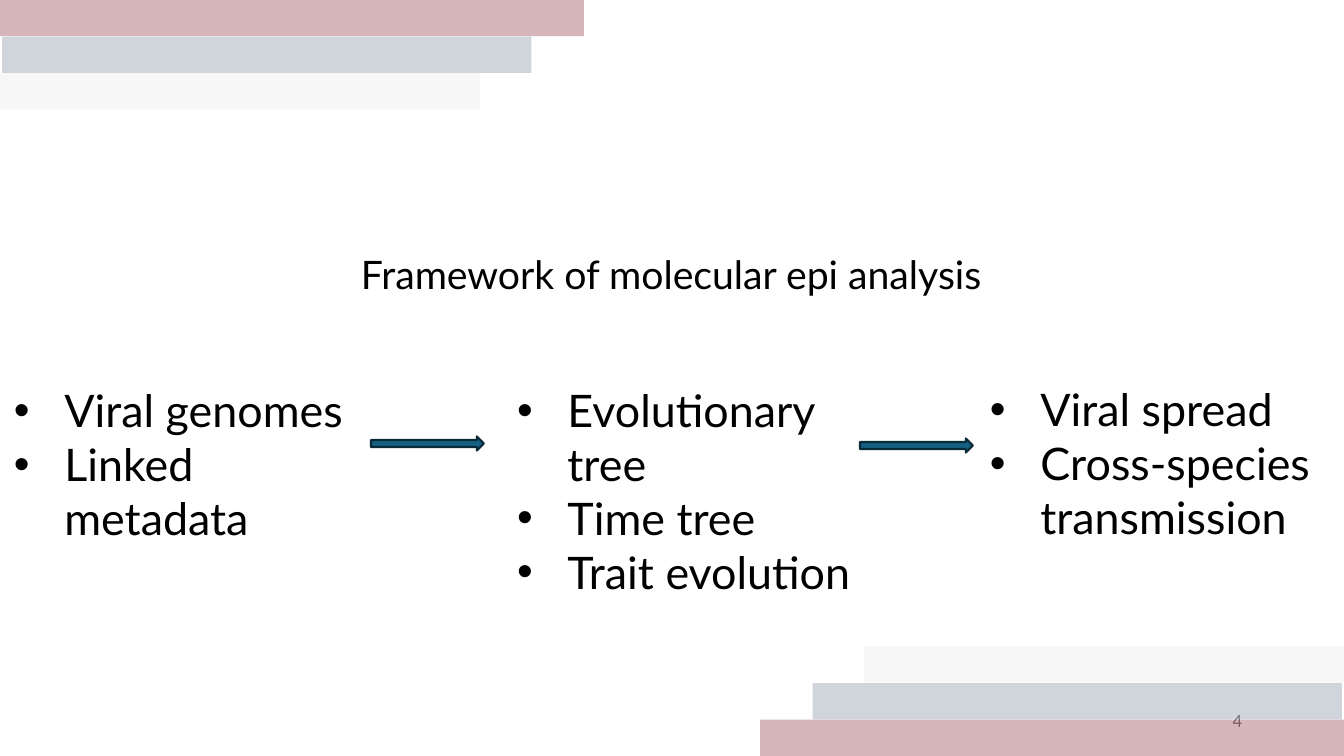
from dataclasses import dataclass

from lxml.etree import SubElement
from pptx import Presentation
from pptx.dml.color import RGBColor
from pptx.enum.shapes import MSO_SHAPE
from pptx.enum.text import MSO_ANCHOR, MSO_AUTO_SIZE, PP_ALIGN
from pptx.oxml.ns import qn
from pptx.util import Inches, Pt

SLIDE_WIDTH, SLIDE_HEIGHT = 13.33, 7.5


@dataclass(frozen=True)
class Theme:
    font: str = "Lato"
    text: str = "000000"
    page_number: str = "797979"
    arrow_fill: str = "156082"
    arrow_line: str = "092A39"
    stripes: tuple = ("7F1525", "697A8F", "E8E8E8")
    stripe_opacity: int = 31
    title_size: int = 28
    list_size: int = 32
    number_size: int = 12


class SlideBuilder:
    def __init__(self, slide, theme):
        self.slide = slide
        self.theme = theme

    def style(self, paragraph, size, color):
        paragraph.font.name = self.theme.font
        paragraph.font.size = Pt(size)
        paragraph.font.color.rgb = RGBColor.from_string(color)

    def title(self, text, left, top, width, height):
        title = self.slide.shapes.title
        title.left, title.top = Inches(left), Inches(top)
        title.width, title.height = Inches(width), Inches(height)
        frame = title.text_frame
        frame.text = text
        frame.auto_size = MSO_AUTO_SIZE.NONE
        frame.vertical_anchor = MSO_ANCHOR.BOTTOM
        heading = frame.paragraphs[0]
        heading.alignment = PP_ALIGN.LEFT
        heading.line_spacing = 0.9
        self.style(heading, self.theme.title_size, self.theme.text)

    def text_box(self, left, top, width, height):
        box = self.slide.shapes.add_textbox(
            Inches(left), Inches(top), Inches(width), Inches(height))
        box.text_frame.word_wrap = True
        return box.text_frame

    def page_number(self, number, left, top, width, height):
        frame = self.text_box(left, top, width, height)
        frame.text = str(number)
        frame.vertical_anchor = MSO_ANCHOR.MIDDLE
        frame.paragraphs[0].alignment = PP_ALIGN.RIGHT
        self.style(frame.paragraphs[0], self.theme.number_size, self.theme.page_number)

    def bullet_list(self, items, left, top, width, height):
        frame = self.text_box(left, top, width, height)
        frame.auto_size = MSO_AUTO_SIZE.SHAPE_TO_FIT_TEXT
        frame.text = "\n".join(items)
        for paragraph in frame.paragraphs:
            properties = paragraph._p.get_or_add_pPr()
            properties.set("marL", str(Inches(0.5)))
            properties.set("indent", str(Inches(-0.5)))
            SubElement(properties, qn("a:buFont")).set("typeface", "Arial")
            SubElement(properties, qn("a:buChar")).set("char", "•")
            self.style(paragraph, self.theme.list_size, self.theme.text)

    def filled_shape(self, shapes, kind, color, left, top, width, height):
        shape = shapes.add_shape(
            kind, Inches(left), Inches(top), Inches(width), Inches(height))
        shape.shadow.inherit = False
        shape.fill.solid()
        shape.fill.fore_color.rgb = RGBColor.from_string(color)
        return shape

    def arrow(self, left, top):
        arrow = self.filled_shape(self.slide.shapes, MSO_SHAPE.RIGHT_ARROW,
                                  self.theme.arrow_fill, left, top, 1.12, 0.14)
        arrow.line.color.rgb = RGBColor.from_string(self.theme.arrow_line)
        arrow.line.width = Pt(1.5)

    def corner_stripes(self, at_bottom_right):
        """Stack translucent stripes; the lower corner is the upper one turned by 180°."""
        group = self.slide.shapes.add_group_shape()
        height, pitch = 0.36, 1.09 / 3
        extents = ((0, 5.79), (0.02, 5.25), (0, 4.76))
        for row, (color, (left, width)) in enumerate(zip(self.theme.stripes, extents)):
            top = row * pitch
            if at_bottom_right:
                left = SLIDE_WIDTH - left - width
                top = SLIDE_HEIGHT - top - height
            stripe = self.filled_shape(group.shapes, MSO_SHAPE.RECTANGLE,
                                       color, left, top, width, height)
            stripe.line.fill.background()
            color_element = stripe.fill._xPr.find(qn("a:solidFill"))[0]
            SubElement(color_element, qn("a:alpha")).set(
                "val", str(self.theme.stripe_opacity * 1000))


def main():
    presentation = Presentation()
    presentation.slide_width = Inches(SLIDE_WIDTH)
    presentation.slide_height = Inches(SLIDE_HEIGHT)
    slide = presentation.slides.add_slide(presentation.slide_layouts[5])
    builder = SlideBuilder(slide, Theme())

    builder.title("Framework of molecular epi analysis", 3.48, 1.26, 6.37, 1.75)
    builder.page_number(4, 9.42, 6.95, 3, 0.4)

    builder.bullet_list(["Viral genomes", "Linked metadata"], 0.04, 3.75, 3.74, 1.72)
    builder.bullet_list(["Evolutionary tree", "Time tree", "Trait evolution"],
                        5.03, 3.75, 3.97, 2.25)
    builder.bullet_list(["Viral spread", "Cross-species transmission"],
                        9.72, 3.74, 3.61, 1.72)
    builder.arrow(3.68, 4.33)
    builder.arrow(8.53, 4.35)

    for at_bottom_right in (True, False):
        builder.corner_stripes(at_bottom_right)

    presentation.save("out.pptx")


if __name__ == "__main__":
    main()
